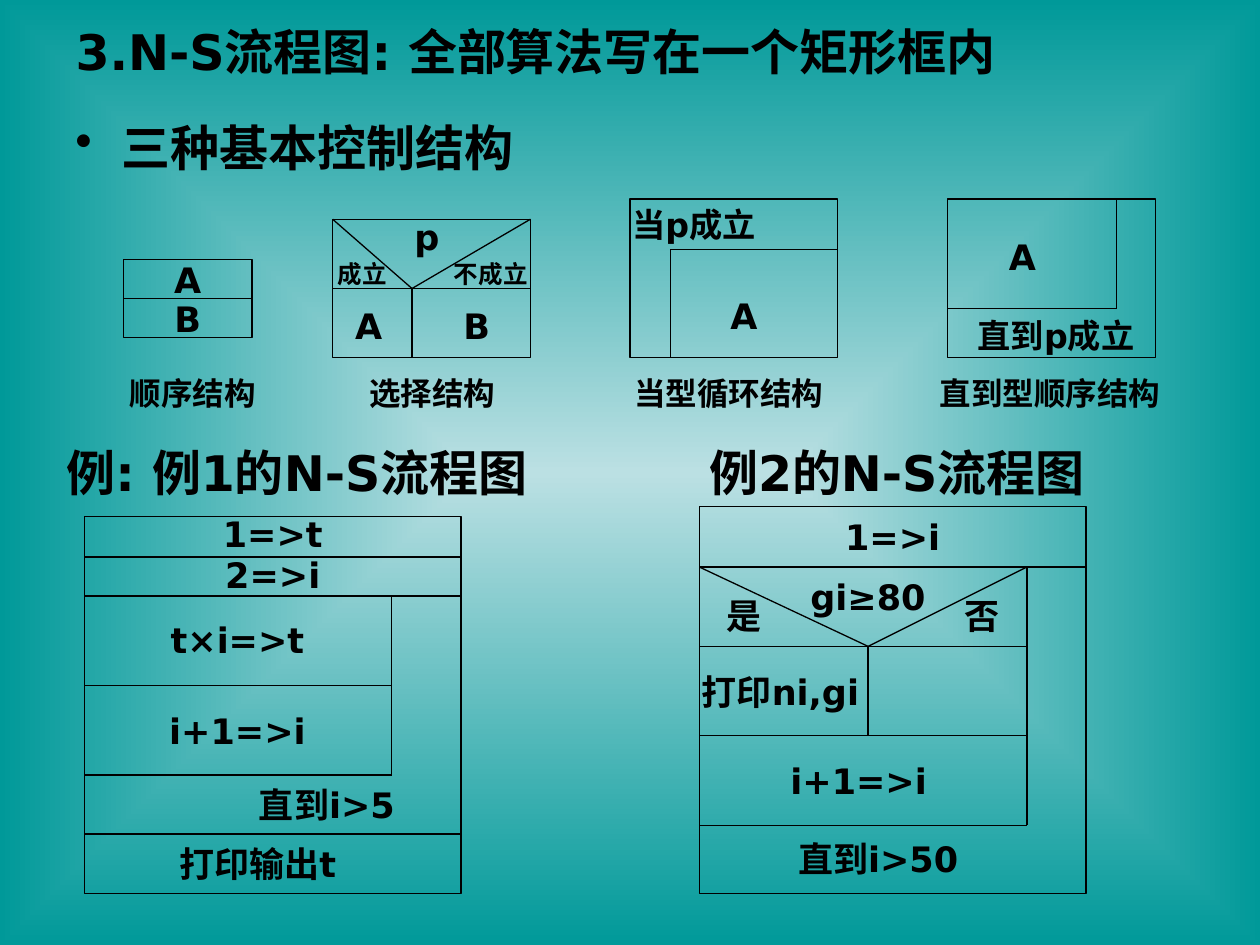
"""Build a slide on N-S flowcharts: three control structures and two examples."""
from lxml import etree
from pptx import Presentation
from pptx.dml.color import RGBColor
from pptx.enum.shapes import MSO_CONNECTOR, MSO_SHAPE
from pptx.enum.text import MSO_ANCHOR, MSO_AUTO_SIZE, PP_ALIGN
from pptx.oxml.ns import qn
from pptx.util import Inches, Pt

BLACK = RGBColor(0x00, 0x00, 0x00)
PALE = RGBColor(0xBB, 0xE0, 0xE3)
TEAL = RGBColor(0x00, 0x99, 0x99)
LEFT, CENTER = PP_ALIGN.LEFT, PP_ALIGN.CENTER
MIDDLE = MSO_ANCHOR.MIDDLE
FIT, NO_FIT = MSO_AUTO_SIZE.SHAPE_TO_FIT_TEXT, MSO_AUTO_SIZE.NONE
RECTANGLE, PROCESS = MSO_SHAPE.RECTANGLE, MSO_SHAPE.FLOWCHART_PROCESS
STRAIGHT = MSO_CONNECTOR.STRAIGHT
LEFT_SIDE, RIGHT_SIDE = 1, 3
HEIGHTS = {14: 0.34, 18: 0.40, 19: 0.42, 20: 0.44, 28: 0.57}


class Board:
    """Hold the slide and the style shared by its elements."""

    font = "DejaVu Sans"
    line_width = Pt(0.75)

    def __init__(self, page):
        self.page = page
        self.shapes = page.shapes

    def background(self, inner, outer):
        fill = self.page.background.fill
        fill.gradient()
        for stop, color, position in zip(fill.gradient_stops, (inner, outer), (0, 1)):
            stop.color.rgb = color
            stop.position = position
        gradient = self.page.element.find(".//" + qn("a:gradFill"))
        gradient.remove(gradient.find(qn("a:lin")))
        shade = etree.SubElement(gradient, qn("a:path"), {"path": "rect"})
        etree.SubElement(shade, qn("a:fillToRect"), l="50000", t="50000", r="50000", b="50000")

    def set_text(self, frame, text, size, align):
        frame.text = text
        for para in frame.paragraphs:
            para.alignment = align
            for span in para.runs:
                span.font.name = self.font
                span.font.size = Pt(size)
                span.font.bold = True
                span.font.color.rgb = BLACK

    def title(self, text, left, top, width, height):
        box = self.shapes.title
        box.left, box.top = Inches(left), Inches(top)
        box.width, box.height = Inches(width), Inches(height)
        box.text_frame.vertical_anchor = MIDDLE
        box.text_frame.auto_size = NO_FIT
        self.set_text(box.text_frame, text, 28, LEFT)

    def label(self, text, left, top, width, size=20, align=CENTER, inset=0.1):
        box = self.shapes.add_textbox(
            Inches(left), Inches(top), Inches(width), Inches(HEIGHTS[size]))
        frame = box.text_frame
        frame.word_wrap = True
        frame.auto_size = FIT
        frame.margin_left = frame.margin_right = Inches(inset)
        self.set_text(frame, text, size, align)
        return box

    def bullet(self, text, left, top, width):
        box = self.label(text, left, top, width, 28, LEFT)
        properties = box.text_frame.paragraphs[0]._p.get_or_add_pPr()
        properties.set("marL", str(Inches(0.37)))
        properties.set("indent", str(-Inches(0.37)))
        etree.SubElement(properties, qn("a:buChar"), char="•")

    def frame(self, left, top, width, height, text="", kind=RECTANGLE):
        box = self.shapes.add_shape(
            kind, Inches(left), Inches(top), Inches(width), Inches(height))
        box.shadow.inherit = False
        box.fill.background()
        box.line.color.rgb = BLACK
        box.line.width = self.line_width
        if text:
            box.text_frame.word_wrap = False
            box.text_frame.vertical_anchor = MIDDLE
            self.set_text(box.text_frame, text, 20, CENTER)
        return box

    def line(self, x1, y1, x2, y2):
        rule = self.shapes.add_connector(
            STRAIGHT, Inches(x1), Inches(y1), Inches(x2), Inches(y2))
        rule.line.color.rgb = BLACK
        rule.line.width = self.line_width
        etree.SubElement(rule._element.spPr, qn("a:effectLst"))
        return rule

    def diagram(self, outline, lines, labels):
        box = self.frame(*outline)
        for ends in lines:
            self.line(*ends)
        for label in labels:
            self.label(*label)
        return box


def draw_structures(board):
    """Draw the basic control structures and their captions."""
    for text, top in (("A", 2.06), ("B", 2.37)):
        board.frame(0.98, top, 1.02, 0.31, text, PROCESS)

    choice = board.diagram(
        (2.64, 1.74, 1.57, 1.1),
        [(2.64, 1.74, 3.27, 2.29), (3.27, 2.29, 4.21, 1.74), (3.27, 2.29, 3.27, 2.84)],
        [("p", 3.19, 1.66, 0.32), ("成立", 2.48, 2.01, 0.79, 14),
         ("不成立", 3.5, 2.01, 0.79, 14), ("A", 2.72, 2.37, 0.39), ("B", 3.58, 2.37, 0.39)])
    divider = board.line(2.64, 2.29, 4.21, 2.29)
    divider.begin_connect(choice, LEFT_SIDE)
    divider.end_connect(choice, RIGHT_SIDE)

    board.diagram(
        (5, 1.58, 1.65, 1.26),
        [(5.32, 1.98, 6.65, 1.98), (5.32, 1.98, 5.32, 2.84)],
        [("当p成立", 4.92, 1.57, 1.34, 19, LEFT), ("A", 5.55, 2.29, 0.71)])
    board.diagram(
        (7.52, 1.58, 1.65, 1.26),
        [(7.52, 2.45, 8.86, 2.45), (8.86, 1.58, 8.86, 2.45)],
        [("直到p成立", 7.76, 2.45, 1.42, 19, LEFT, 0), ("A", 7.76, 1.82, 0.71)])

    for text, left, width, align in (
            ("顺序结构", 0.9, 1.26, CENTER), ("选择结构", 2.8, 1.26, CENTER),
            ("当型循环结构", 4.92, 1.73, CENTER), ("直到型顺序结构", 7.36, 2.05, LEFT)):
        board.label(text, left, 2.92, width, 18, align)


def draw_examples(board):
    """Draw the two worked examples under their headings."""
    board.label("例: 例1的N-S流程图", 0.43, 3.46, 4.6, 28, LEFT)
    board.label("例2的N-S流程图", 5.53, 3.46, 3.96, 28, LEFT)

    left, inner, right = 0.67, 3.11, 3.66
    board.diagram(
        (left, 4.1, 2.99, 2.99),
        [(left, y, right, y) for y in (4.42, 4.73, 6.62)]
        + [(left, y, inner, y) for y in (5.44, 6.15)]
        + [(inner, 4.73, inner, 6.15)],
        [("1=>t", left, 4.02, 2.99), ("2=>i", left, 4.34, 2.99),
         ("t×i=>t", 0.98, 4.86, 1.81), ("i+1=>i", 0.98, 5.58, 1.81),
         ("直到i>5", 1.69, 6.17, 1.81), ("打印输出t", 1.14, 6.64, 1.81)])

    left, middle, inner, right = 5.55, 6.89, 8.15, 8.62
    board.diagram(
        (left, 4.02, 3.07, 3.07),
        [(left, y, inner, y) for y in (5.13, 5.84, 6.55)]
        + [(left, 4.5, right, 4.5), (inner, 4.5, inner, 6.55),
           (middle, 5.13, middle, 5.84),
           (left, 4.5, middle, 5.13), (inner, 4.5, middle, 5.13)],
        [("1=>i", left, 4.04, 3.07), ("gi≥80", 6.26, 4.52, 1.26),
         ("是", left, 4.67, 0.71), ("否", 7.44, 4.67, 0.71),
         ("打印ni,gi", 5.47, 5.27, 1.65, 20, LEFT),
         ("i+1=>i", 5.79, 5.98, 2.05), ("直到i>50", 5.79, 6.6, 2.36)])


def main():
    """Assemble and save the deck."""
    deck = Presentation()
    deck.slide_width, deck.slide_height = Inches(10), Inches(7.5)
    board = Board(deck.slides.add_slide(deck.slide_layouts[5]))
    board.background(PALE, TEAL)
    board.title("3.N-S流程图: 全部算法写在一个矩形框内", 0.5, 0.1, 9, 0.61)
    board.bullet("三种基本控制结构", 0.5, 0.88, 9)
    draw_structures(board)
    draw_examples(board)
    deck.save("out.pptx")


if __name__ == "__main__":
    main()
